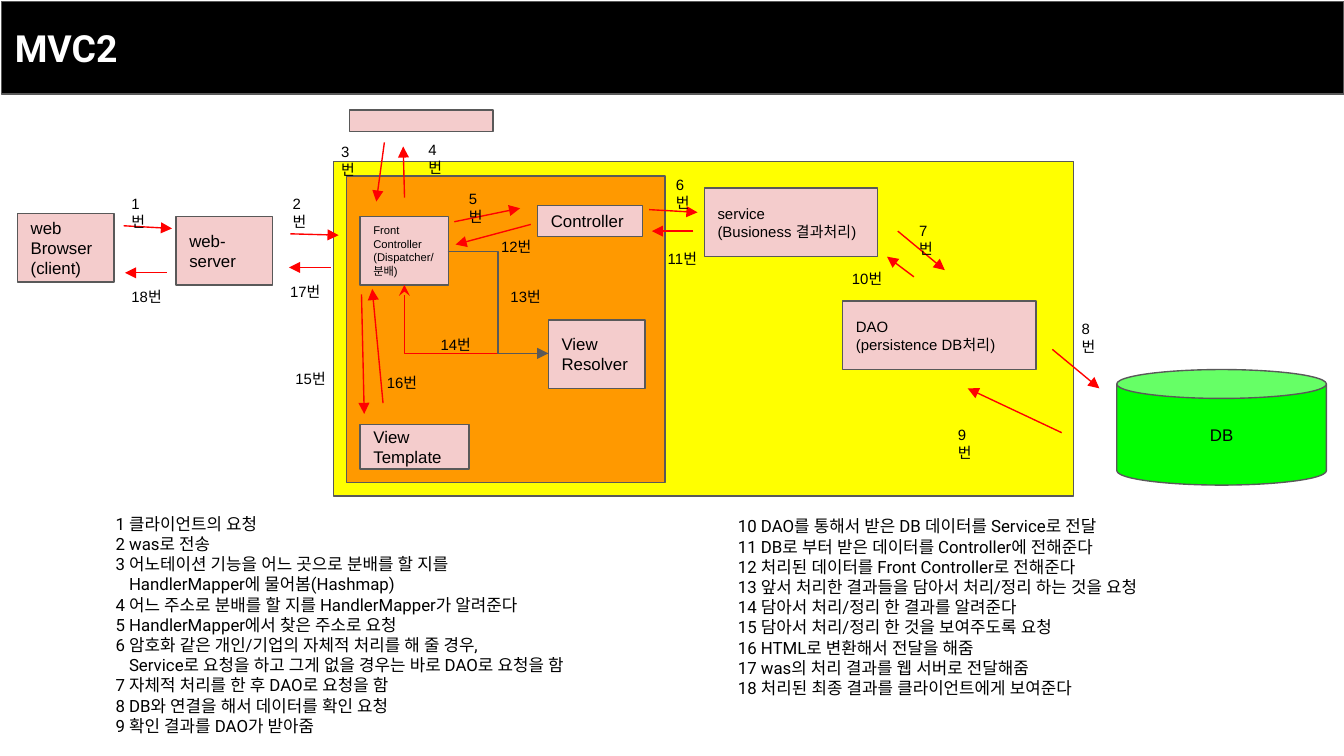
import lxml.etree
import pptx
import pptx.dml.color
import pptx.enum.shapes
import pptx.enum.text
import pptx.oxml.ns
import pptx.util

Inches = pptx.util.Inches
Pt = pptx.util.Pt
qn = pptx.oxml.ns.qn
SHAPES = pptx.enum.shapes.MSO_SHAPE
CONNECTORS = pptx.enum.shapes.MSO_CONNECTOR
ALIGN = pptx.enum.text.PP_ALIGN
ANCHOR = pptx.enum.text.MSO_ANCHOR
FIT = pptx.enum.text.MSO_AUTO_SIZE

SLIDE_WIDTH = Inches(10)
SLIDE_HEIGHT = SLIDE_WIDTH * 9 // 16
PINK, GRAY, RED, BLACK = "F4CCCC", "595959", "FF0000", "000000"
FRAME = {"word_wrap": True, "auto_size": FIT.NONE, "vertical_anchor": ANCHOR.MIDDLE,
         **{f"margin_{side}": Inches(0.1) for side in ("left", "right", "top", "bottom")}}
GROWING = {**FRAME, "auto_size": FIT.SHAPE_TO_FIT_TEXT, "vertical_anchor": ANCHOR.TOP}
PARAGRAPH = {"alignment": ALIGN.LEFT, "space_before": Pt(0), "space_after": Pt(0),
             "line_spacing": 1.0}

STEPS_LEFT = [
    "1 클라이언트의 요청",
    "2 was로 전송",
    "3 어노테이션 기능을 어느 곳으로 분배를 할 지를",
    "HandlerMapper에 물어봄(Hashmap)",
    "4 어느 주소로 분배를 할 지를 HandlerMapper가 알려준다",
    "5 HandlerMapper에서 찾은 주소로 요청",
    "6 암호화 같은 개인/기업의 자체적 처리를 해 줄 경우,",
    "Service로 요청을 하고 그게 없을 경우는 바로 DAO로 요청을 함",
    "7 자체적 처리를 한 후 DAO로 요청을 함",
    "8 DB와 연결을 해서 데이터를 확인 요청",
    "9 확인 결과를 DAO가 받아줌",
]
STEPS_RIGHT = [
    "10 DAO를 통해서 받은 DB 데이터를 Service로 전달",
    "11 DB로 부터 받은 데이터를 Controller에 전해준다",
    "12 처리된 데이터를 Front Controller로 전해준다",
    "13 앞서 처리한 결과들을 담아서 처리/정리 하는 것을 요청",
    "14 담아서 처리/정리 한 결과를 알려준다",
    "15 담아서 처리/정리 한 것을 보여주도록 요청",
    "16 HTML로 변환해서 전달을 해줌",
    "17 was의 처리 결과를 웹 서버로 전달해줌",
    "18 처리된 최종 결과를 클라이언트에게 보여준다",
]


def color(value):
    return pptx.dml.color.RGBColor.from_string(value)


def apply(target, formats):
    for name, value in formats.items():
        setattr(target, name, value)


def place(part, box):
    apply(part, dict(zip(("left", "top", "width", "height"), map(Inches, box))))


def within(box, x, y, width, height):
    return box[0] + x, box[1] + y, width, height


def paint(part, fill):
    part.fill.solid()
    part.fill.fore_color.rgb = color(fill)
    part.line.color.rgb = color(GRAY)
    part.line.width = Pt(0.75)


def write(frame, lines, size, font="Arial", ink=BLACK, bold=False, align=ALIGN.LEFT, layout=FRAME):
    apply(frame, layout)
    for index, line in enumerate(lines):
        paragraph = frame.paragraphs[0] if index == 0 else frame.add_paragraph()
        apply(paragraph, {**PARAGRAPH, "alignment": align})
        words = paragraph.add_run()
        words.text = line
        apply(words.font, {"name": font, "size": Pt(size), "bold": bold})
        words.font.color.rgb = color(ink)
        lxml.etree.SubElement(words._r.get_or_add_rPr(), qn("a:ea"), typeface=font)


def block(slide, box, fill=PINK, lines=(), size=9, kind=SHAPES.RECTANGLE, align=ALIGN.LEFT):
    part = slide.shapes.add_shape(kind, *map(Inches, box))
    part.shadow.inherit = False
    paint(part, fill)
    write(part.text_frame, lines, size, align=align)


def arrow(slide, box, ends, ink=RED, kind=CONNECTORS.STRAIGHT, geometry=None, tip="triangle"):
    x1, y1, x2, y2 = ends
    points = (box[0] + x1, box[1] + y1, box[0] + x2, box[1] + y2)
    link = slide.shapes.add_connector(kind, *map(Inches, points))
    link.line.color.rgb = color(ink)
    link.line.width = Pt(0.75)
    properties = link._element.spPr
    if geometry:
        properties.find(qn("a:prstGeom")).set("prst", geometry)
    lxml.etree.SubElement(properties.find(qn("a:ln")), qn("a:tailEnd"), type=tip)
    lxml.etree.SubElement(properties, qn("a:effectLst"))


def flow(slide, box, arrows, numbers):
    for ends in arrows:
        arrow(slide, box, ends)
    for number, (x, y) in numbers.items():
        width = 0.36 if number < 10 else 0.44
        label = slide.shapes.add_textbox(*map(Inches, within(box, x, y, width, 0.34)))
        write(label.text_frame, [f"{number}번"], 8, layout=GROWING)


def heading(slide, box):
    title = slide.shapes.title
    place(title, box)
    paint(title, BLACK)
    write(title.text_frame, ["MVC2"], 20, "Roboto", "FFFFFF", True)


def legend(steps, box, lines):
    place(steps, box)
    write(steps.text_frame, lines, 9, "Roboto", layout=GROWING)
    for paragraph, line in zip(steps.text_frame.paragraphs, lines):
        properties = paragraph._p.get_or_add_pPr()
        margin = 0 if line[0].isdigit() else Inches(0.1)
        properties.set("marL", str(margin))
        properties.set("indent", "0")
        lxml.etree.SubElement(properties, qn("a:buNone"))


def dispatcher(slide, box):
    block(slide, within(box, 0, 0.49, 2.37, 2.28), "FF9900")
    block(slide, within(box, 0.02, 0, 1.07, 0.16))
    block(slide, within(box, 0.1, 0.79, 0.66, 0.51),
          lines=["Front", "Controller", "(Dispatcher/분배)"], size=6)
    block(slide, within(box, 1.42, 0.71, 0.78, 0.23), lines=["Controller"])
    block(slide, within(box, 1.5, 1.56, 0.72, 0.51), lines=["View", "Resolver"])
    block(slide, within(box, 0.1, 2.34, 0.81, 0.33), lines=["View", "Template"])
    arrow(slide, box, (1.5, 1.81, 0.43, 1.3), kind=CONNECTORS.ELBOW,
          geometry="bentConnector2", tip="stealth")
    arrow(slide, box, (0.75, 1.05, 1.5, 1.81), GRAY, CONNECTORS.ELBOW)
    flow(slide, box,
         [(0.28, 0.24, 0.22, 0.68), (0.43, 0.65, 0.42, 0.27), (0.8, 0.83, 1.29, 0.73),
          (1.37, 0.85, 0.81, 1), (0.11, 1.37, 0.13, 2.26), (0.27, 2.18, 0.19, 1.33)],
         {3: (-0.14, 0.14), 4: (0.51, 0.13), 5: (0.81, 0.49), 12: (1.05, 0.85),
          13: (1.12, 1.22), 14: (0.6, 1.58), 15: (-0.48, 1.83), 16: (0.2, 1.86)})


def server(slide, box):
    block(slide, box, "FFFF00")
    dispatcher(slide, within(box, 0.1, -0.38, 2.37, 2.77))
    block(slide, within(box, 2.76, 0.2, 1.29, 0.51),
          lines=["service", "(Busioness 결과처리)"], size=8)
    block(slide, within(box, 3.79, 1.04, 1.44, 0.51),
          lines=["DAO", "(persistence DB처리)"], size=8)
    flow(slide, box,
         [(2.35, 0.36, 2.71, 0.38), (2.68, 0.52, 2.37, 0.52),
          (4.32, 0.86, 4.12, 0.71), (4.2, 0.52, 4.55, 0.81)],
         {6: (2.45, 0.01), 7: (4.26, 0.35), 10: (3.76, 0.71), 11: (2.39, 0.56)})


def client(slide, box):
    block(slide, within(box, 0, 0.24, 0.72, 0.51), lines=["web", "Browser", "(client)"])
    block(slide, within(box, 1.18, 0.26, 0.72, 0.51), lines=["web-", "server"])
    flow(slide, box,
         [(0.79, 0.33, 1.15, 0.35), (1.11, 0.68, 0.8, 0.68),
          (2.03, 0.39, 2.39, 0.4), (2.33, 0.64, 2.02, 0.64)],
         {1: (0.75, 0), 2: (1.95, 0), 17: (1.93, 0.65), 18: (0.75, 0.69)})


def storage(slide, box):
    block(slide, within(box, 1.28, 0.47, 1.56, 0.86), "00FF00", ["DB"],
          kind=SHAPES.CAN, align=ALIGN.CENTER)
    flow(slide, box, [(0.87, 0.94, 0.17, 0.61), (0.8, 0.32, 1.15, 0.61)],
         {8: (0.92, 0), 9: (0, 0.79)})


def main():
    deck = pptx.Presentation()
    apply(deck, {"slide_width": SLIDE_WIDTH, "slide_height": SLIDE_HEIGHT})
    slide = deck.slides.add_slide(deck.slide_layouts.get_by_name("Two Content"))
    heading(slide, (0.01, 0.01, 9.99, 0.69))
    legend(slide.placeholders[1], (0.76, 3.72, 4.1, 1.87), STEPS_LEFT)
    legend(slide.placeholders[2], (5.39, 3.74, 4.1, 1.57), STEPS_RIGHT)
    server(slide, (2.48, 1.2, 5.51, 2.49))
    client(slide, (0.13, 1.35, 2.39, 0.99))
    storage(slide, (7.03, 2.28, 2.84, 1.33))
    deck.save("out.pptx")


if __name__ == "__main__":
    main()
